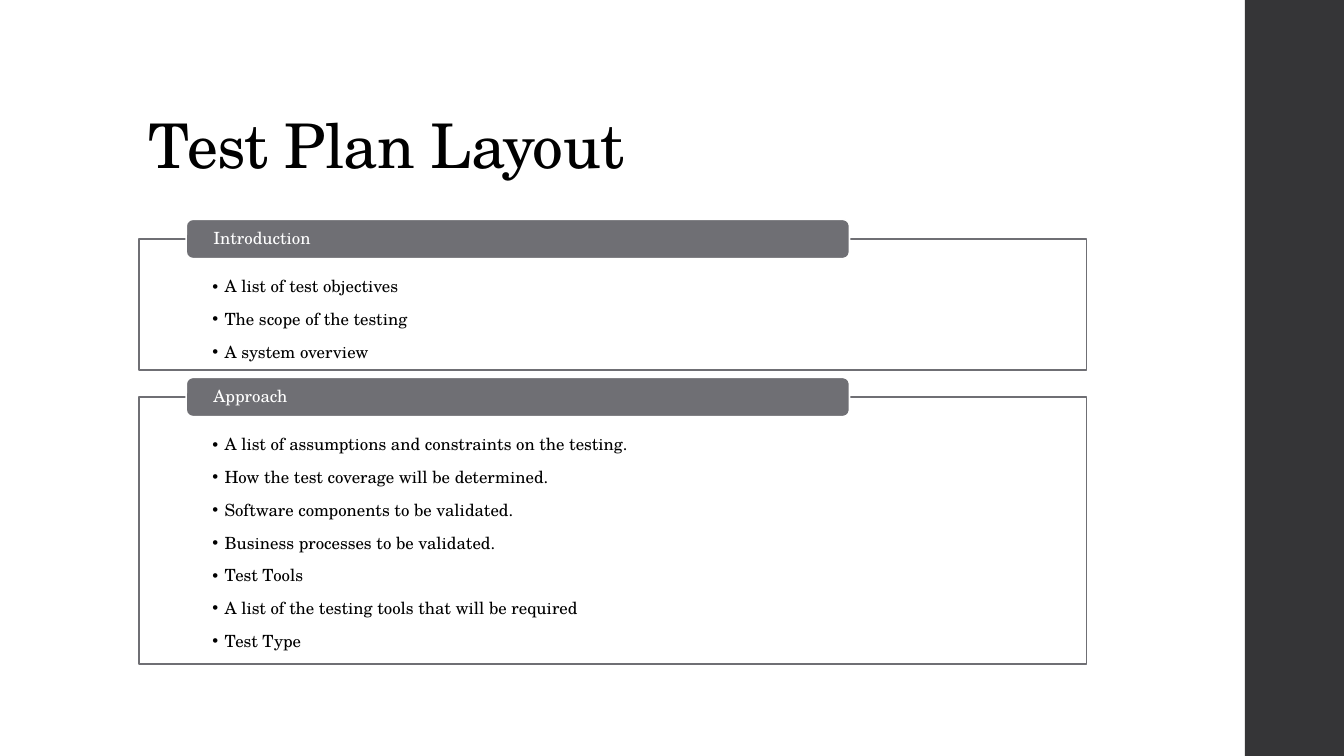
from lxml.etree import SubElement
from pptx import Presentation
from pptx.dml.color import RGBColor
from pptx.enum.shapes import MSO_SHAPE as Shape
from pptx.enum.text import MSO_ANCHOR as Anchor, PP_ALIGN as Align
from pptx.oxml.ns import qn
from pptx.util import Pt

FONT = "TeX Gyre Schola"
BLACK = RGBColor(0x00, 0x00, 0x00)
WHITE = RGBColor(0xFF, 0xFF, 0xFF)
GRAY = RGBColor(0x6F, 0x6F, 0x74)
CHARCOAL = RGBColor(0x35, 0x35, 0x37)

SLIDE_WIDTH, SLIDE_HEIGHT = 960, 540
CONTENT_LEFT, CONTENT_WIDTH = 99.2, 676.8
BODY_SIZE = 12
BULLET_INDENT = 8.64

SECTIONS = [
    (170.64, 93.6, "Introduction", [
        "A list of test objectives",
        "The scope of the testing",
        "A system overview",
    ]),
    (283.5, 190.8, "Approach", [
        "A list of assumptions and constraints on the testing.",
        "How the test coverage will be determined.",
        "Software components to be validated.",
        "Business processes to be validated.",
        "Test Tools",
        "A list of the testing tools that will be required",
        "Test Type",
    ]),
]


def add_box(slide, kind, left, top, width, height, fill, line=None):
    shape = slide.shapes.add_shape(kind, Pt(left), Pt(top), Pt(width), Pt(height))
    shape.shadow.inherit = False
    shape.fill.solid()
    shape.fill.fore_color.rgb = fill
    if line is None:
        shape.line.fill.background()
    else:
        shape.line.color.rgb = line
        shape.line.width = Pt(1.1)
    return shape


def set_frame(frame, anchor, side, top, bottom):
    frame.word_wrap = True
    frame.vertical_anchor = anchor
    frame.margin_left = frame.margin_right = Pt(side)
    frame.margin_top, frame.margin_bottom = Pt(top), Pt(bottom)


def style_paragraph(paragraph, size, color, line_spacing):
    paragraph.alignment = Align.LEFT
    paragraph.line_spacing = line_spacing
    paragraph.font.name = FONT
    paragraph.font.size = Pt(size)
    paragraph.font.color.rgb = color


def add_bullet(paragraph):
    properties = paragraph._p.get_or_add_pPr()
    properties.set("marL", str(Pt(BULLET_INDENT)))
    properties.set("indent", str(-Pt(BULLET_INDENT)))
    SubElement(properties, qn("a:buFont"), typeface="Arial")
    SubElement(properties, qn("a:buChar"), char="•")


def add_title(slide, left, top, width, height, text):
    frame = slide.shapes.add_textbox(Pt(left), Pt(top), Pt(width), Pt(height)).text_frame
    set_frame(frame, Anchor.BOTTOM, 7.2, 3.6, 3.6)
    paragraph = frame.paragraphs[0]
    run = paragraph.add_run()
    run.text = text
    run._r.get_or_add_rPr().set("spc", "-50")
    style_paragraph(paragraph, 44, BLACK, 0.9)


def add_section(slide, left, top, width, height, heading, items):
    panel = add_box(slide, Shape.RECTANGLE, left, top, width, height, WHITE, GRAY)
    frame = panel.text_frame
    set_frame(frame, Anchor.TOP, 52.56, 19.44, 6.48)
    for index, item in enumerate(items):
        paragraph = frame.add_paragraph() if index else frame.paragraphs[0]
        paragraph.text = item
        paragraph.level = 1
        paragraph.space_after = Pt(0.15 * BODY_SIZE)
        paragraph.line_spacing = 1.5
        add_bullet(paragraph)
        style_paragraph(paragraph, BODY_SIZE, BLACK, 1.5)

    tab = add_box(slide, Shape.ROUNDED_RECTANGLE, left + 0.05 * width, top - 13.9,
                  0.7 * width, 28, GRAY, WHITE)
    set_frame(tab.text_frame, Anchor.MIDDLE, 18, 0, 0)
    paragraph = tab.text_frame.paragraphs[0]
    paragraph.text = heading
    style_paragraph(paragraph, BODY_SIZE, WHITE, 0.9)


def main():
    presentation = Presentation()
    presentation.slide_width = Pt(SLIDE_WIDTH)
    presentation.slide_height = Pt(SLIDE_HEIGHT)
    slide = presentation.slides.add_slide(presentation.slide_layouts[6])

    add_box(slide, Shape.RECTANGLE, 889.2, 0, SLIDE_WIDTH - 889.2, SLIDE_HEIGHT, CHARCOAL)
    add_title(slide, CONTENT_LEFT, 28.8, 763.2, 104.4, "Test Plan Layout")
    for top, height, heading, items in SECTIONS:
        add_section(slide, CONTENT_LEFT, top, CONTENT_WIDTH, height, heading, items)

    presentation.save("out.pptx")


if __name__ == "__main__":
    main()
